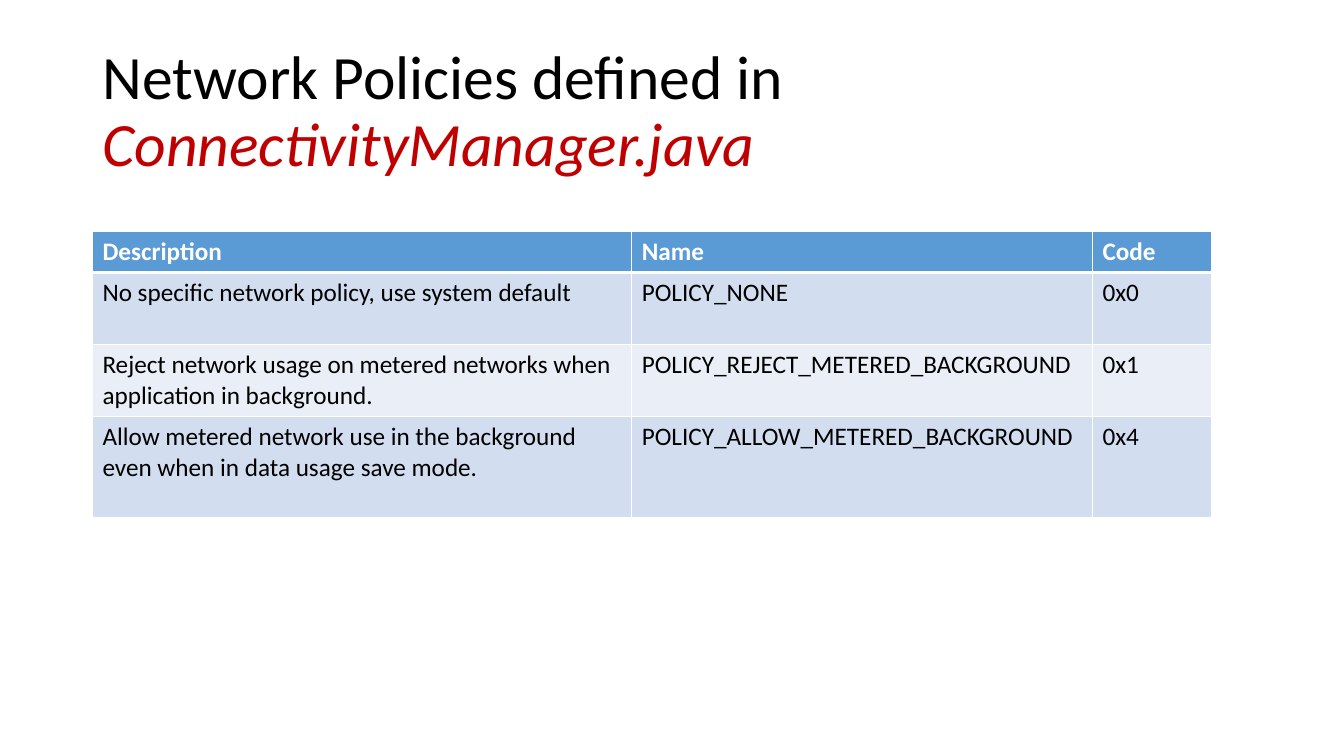
from dataclasses import dataclass

from lxml import etree
from pptx import Presentation
from pptx import util as u
from pptx.dml.color import RGBColor
from pptx.enum import text
from pptx.oxml import ns


@dataclass(frozen=True)
class Theme:
    font: str = "Calibri"
    title: int = 44
    body: int = 18
    ink: str = "000000"
    white: str = "FFFFFF"
    red: str = "C00000"
    head: str = "5B9BD5"
    bands: tuple = ("D2DEEF", "EAEFF7")
    thin: int = 1
    thick: int = 3


THEME = Theme()
WIDTHS = (13.59, 11.61, 3.0)
HEIGHTS = (1.03, 1.81, 1.81, 2.56)
ROWS = (
    ("Description", "Name", "Code"),
    ("No specific network policy, use system default", "POLICY_NONE", "0x0"),
    ("Reject network usage on metered networks when application in background.",
     "POLICY_REJECT_METERED_BACKGROUND", "0x1"),
    ("Allow metered network use in the background even when in data usage save mode.",
     "POLICY_ALLOW_METERED_BACKGROUND", "0x4"),
)


def add_run(para, words, size, color, bold=False, italic=False):
    run = para.add_run()
    run.text = words
    font = run.font
    font.name, font.size = THEME.font, u.Pt(size)
    font.bold, font.italic = bold, italic
    font.color.rgb = RGBColor.from_string(color)


def add_title(slide):
    title = slide.shapes.title
    title.left, title.top = u.Cm(2.33), u.Cm(1.01)
    title.width, title.height = u.Cm(29.21), u.Cm(3.68)
    frame = title.text_frame
    frame.word_wrap = True
    frame.auto_size = text.MSO_AUTO_SIZE.NONE
    frame.vertical_anchor = text.MSO_ANCHOR.MIDDLE
    para = frame.paragraphs[0]
    para.alignment = text.PP_ALIGN.LEFT
    para.line_spacing = 0.9
    add_run(para, "Network Policies defined in ", THEME.title, THEME.ink)
    add_run(para, "ConnectivityManager.java", THEME.title, THEME.red, italic=True)


def add_edge(cell, side, width):
    """Draw one white border; call in the order L, R, T, B."""
    props = cell._tc.get_or_add_tcPr()
    line = etree.SubElement(props, ns.qn(f"a:ln{side}"), w=str(u.Pt(width)))
    fill = etree.SubElement(line, ns.qn("a:solidFill"))
    etree.SubElement(fill, ns.qn("a:srgbClr"), val=THEME.white)


def fill_cell(cell, words, row):
    head = row == 0
    edges = {"L": THEME.thin, "R": THEME.thin,
             "T": THEME.thick if row == 1 else THEME.thin,
             "B": THEME.thick if head else THEME.thin}
    for side, width in edges.items():
        add_edge(cell, side, width)
    cell.fill.solid()
    back = THEME.head if head else THEME.bands[(row - 1) % 2]
    cell.fill.fore_color.rgb = RGBColor.from_string(back)
    color = THEME.white if head else THEME.ink
    add_run(cell.text_frame.paragraphs[0], words, THEME.body, color, bold=head)


def add_grid(slide):
    frame = slide.shapes.add_table(
        len(ROWS), len(WIDTHS), u.Cm(2.33), u.Cm(5.84),
        u.Cm(sum(WIDTHS)), u.Cm(sum(HEIGHTS)))
    table = frame.table
    for col, width in zip(table.columns, WIDTHS):
        col.width = u.Cm(width)
    for row, height in zip(table.rows, HEIGHTS):
        row.height = u.Cm(height)
    for i, row in enumerate(ROWS):
        for j, words in enumerate(row):
            fill_cell(table.cell(i, j), words, i)


def main():
    deck = Presentation()
    deck.slide_width, deck.slide_height = u.Cm(33.87), u.Cm(19.05)
    slide = deck.slides.add_slide(deck.slide_layouts.get_by_name("Title Only"))
    add_title(slide)
    add_grid(slide)
    deck.save("out.pptx")


if __name__ == "__main__":
    main()
